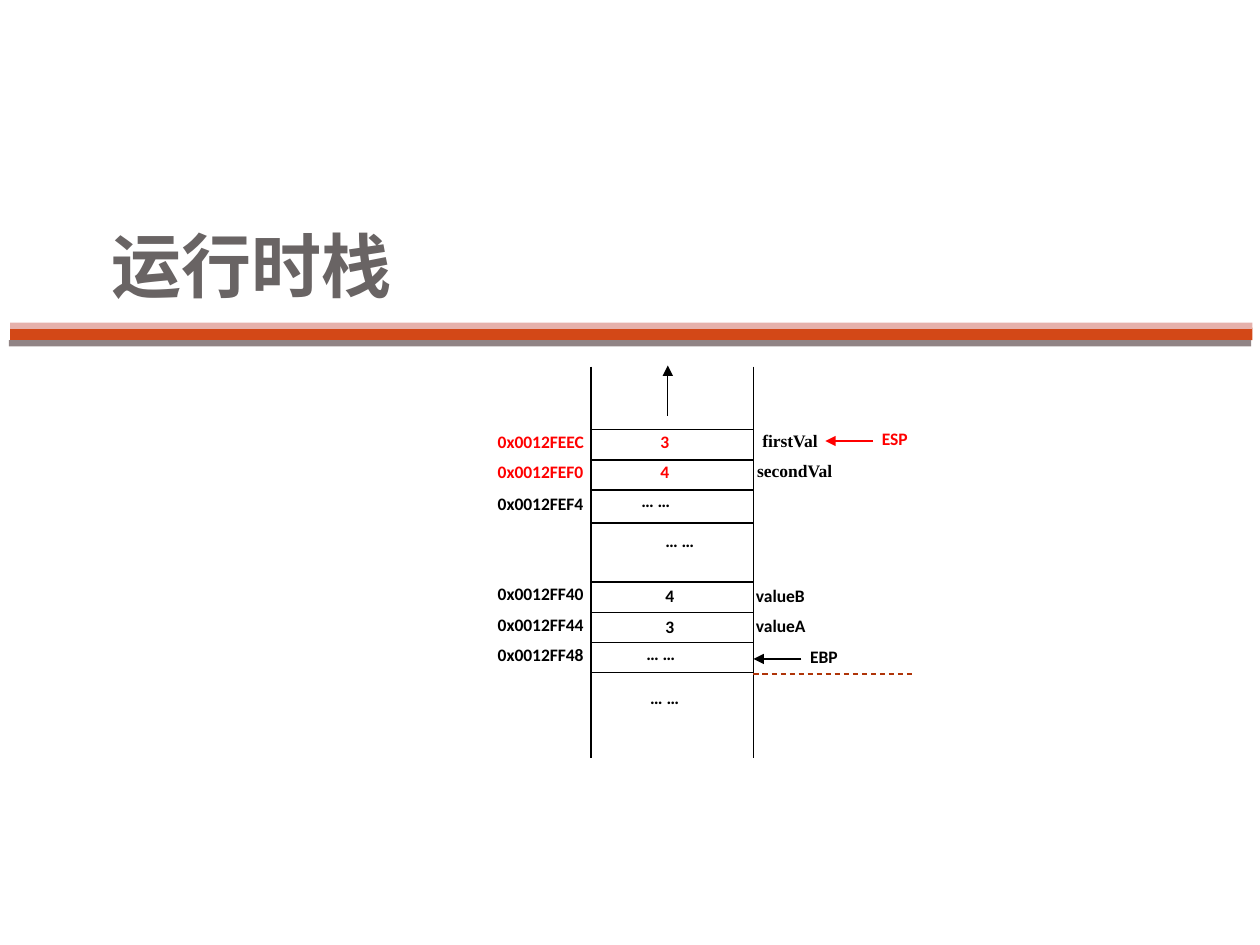
"""Build a slide that shows the memory layout of a run-time stack."""
import dataclasses

import lxml.etree
import pptx
import pptx.dml.color
import pptx.enum.dml
import pptx.enum.shapes
import pptx.enum.text
import pptx.oxml.ns
import pptx.util

Inches = pptx.util.Inches
Align = pptx.enum.text.PP_ALIGN
Anchor = pptx.enum.text.MSO_ANCHOR


@dataclasses.dataclass
class Theme:
    black: str = "000000"
    red: str = "FF0000"
    title: str = "696464"
    rust: str = "D34817"
    pink: str = "E6B1AB"
    gray: str = "918485"
    dash: str = "AF3408"
    body: str = "Calibri"
    serif: str = "Times New Roman"
    head: str = "Roboto"
    small: int = 10
    large: int = 40
    rule: float = 0.75


theme = Theme()
deck = pptx.Presentation()
deck.slide_width, deck.slide_height = Inches(10), Inches(7.5)
slide = deck.slides.add_slide(deck.slide_layouts[6])


def add_text(text, left, top, width, height=0.25, color=theme.black,
             font=theme.body, size=theme.small, align=Align.JUSTIFY,
             anchor=Anchor.TOP, pad=(0.02, 0.01, 0.02, 0.01)):
    box = slide.shapes.add_textbox(
        Inches(left), Inches(top), Inches(width), Inches(height))
    frame = box.text_frame
    frame.word_wrap = True
    frame.vertical_anchor = anchor
    frame.margin_left, frame.margin_top, frame.margin_right, frame.margin_bottom = map(Inches, pad)
    para = frame.paragraphs[0]
    para.alignment = align
    run = para.add_run()
    run.text = text
    run.font.name = font
    run.font.size = pptx.util.Pt(size)
    run.font.bold = True
    run.font.color.rgb = pptx.dml.color.RGBColor.from_string(color)


def add_line(x1, y1, x2, y2, color=theme.black, arrow=False, dash=False):
    line = slide.shapes.add_connector(
        pptx.enum.shapes.MSO_CONNECTOR.STRAIGHT,
        Inches(x1), Inches(y1), Inches(x2), Inches(y2))
    line.line.color.rgb = pptx.dml.color.RGBColor.from_string(color)
    line.line.width = pptx.util.Pt(theme.rule)
    if dash:
        line.line.dash_style = pptx.enum.dml.MSO_LINE.DASH
    qn = pptx.oxml.ns.qn
    if arrow:
        lxml.etree.SubElement(
            line.line._get_or_add_ln(), qn("a:tailEnd"), type="triangle")
    lxml.etree.SubElement(line._element.spPr, qn("a:effectLst"))


for left, top, height, color in (
    (0.08, 2.6, 0.1, theme.rust),
    (0.08, 2.56, 0.05, theme.pink),
    (0.07, 2.7, 0.05, theme.gray),
):
    band = slide.shapes.add_shape(
        pptx.enum.shapes.MSO_SHAPE.RECTANGLE,
        Inches(left), Inches(top), Inches(9.86), Inches(height))
    band.shadow.inherit = False
    band.fill.solid()
    band.fill.fore_color.rgb = pptx.dml.color.RGBColor.from_string(color)
    band.line.fill.background()

add_text("运行时栈", 0.79, 1.04, 8.5, 1.49, theme.title, theme.head,
         theme.large, Align.LEFT, Anchor.BOTTOM, (0.1, 0.05, 0.1, 0.1))

wall_left, wall_right, pitch = 4.69, 5.98, 0.24
upper, lower = 3.41, 4.62
for wall in (wall_left, wall_right):
    add_line(wall, 2.91, wall, 6.02)
rules = [upper + pitch * row for row in range(3)]
rules += [4.15] + [lower + pitch * row for row in range(4)]
for rule in rules:
    add_line(wall_left, rule, wall_right, rule)

for top, names, color in (
    (upper, ("0x0012FEEC", "0x0012FEF0"), theme.red),
    (3.9, ("0x0012FEF4",), theme.black),
    (lower, ("0x0012FF40", "0x0012FF44", "0x0012FF48"), theme.black),
):
    for row, name in enumerate(names):
        add_text(name, 3.93, top + pitch * row, 0.85, color=color)

for value, left, top, color in (
    ("3", 5.22, 3.41, theme.red),
    ("4", 5.22, 3.65, theme.red),
    ("4", 5.26, 4.63, theme.black),
    ("3", 5.26, 4.88, theme.black),
):
    add_text(value, left, top, 0.19, color=color)

for left, top in ((5.07, 3.88), (5.26, 4.2), (5.11, 5.09), (5.14, 5.44)):
    add_text("… …", left, top, 0.48)

for name, left, top, font in (
    ("firstVal", 6.03, 3.4, theme.serif),
    ("secondVal", 5.99, 3.64, theme.serif),
    ("valueB", 5.98, 4.63, theme.body),
    ("valueA", 5.98, 4.87, theme.body),
):
    add_text(name, left, top, 0.73, font=font)

add_line(5.3, 3.3, 5.3, 2.9, arrow=True)
for name, tip, mid, color in (
    ("ESP", 6.55, 3.5, theme.red),
    ("EBP", wall_right, 5.23, theme.black),
):
    add_line(tip + 0.38, mid, tip, mid, color, arrow=True)
    add_text(name, tip + 0.43, mid - 0.11, 0.3, color=color)
add_line(wall_right, 5.35, 7.26, 5.35, theme.dash, dash=True)

deck.save("out.pptx")
